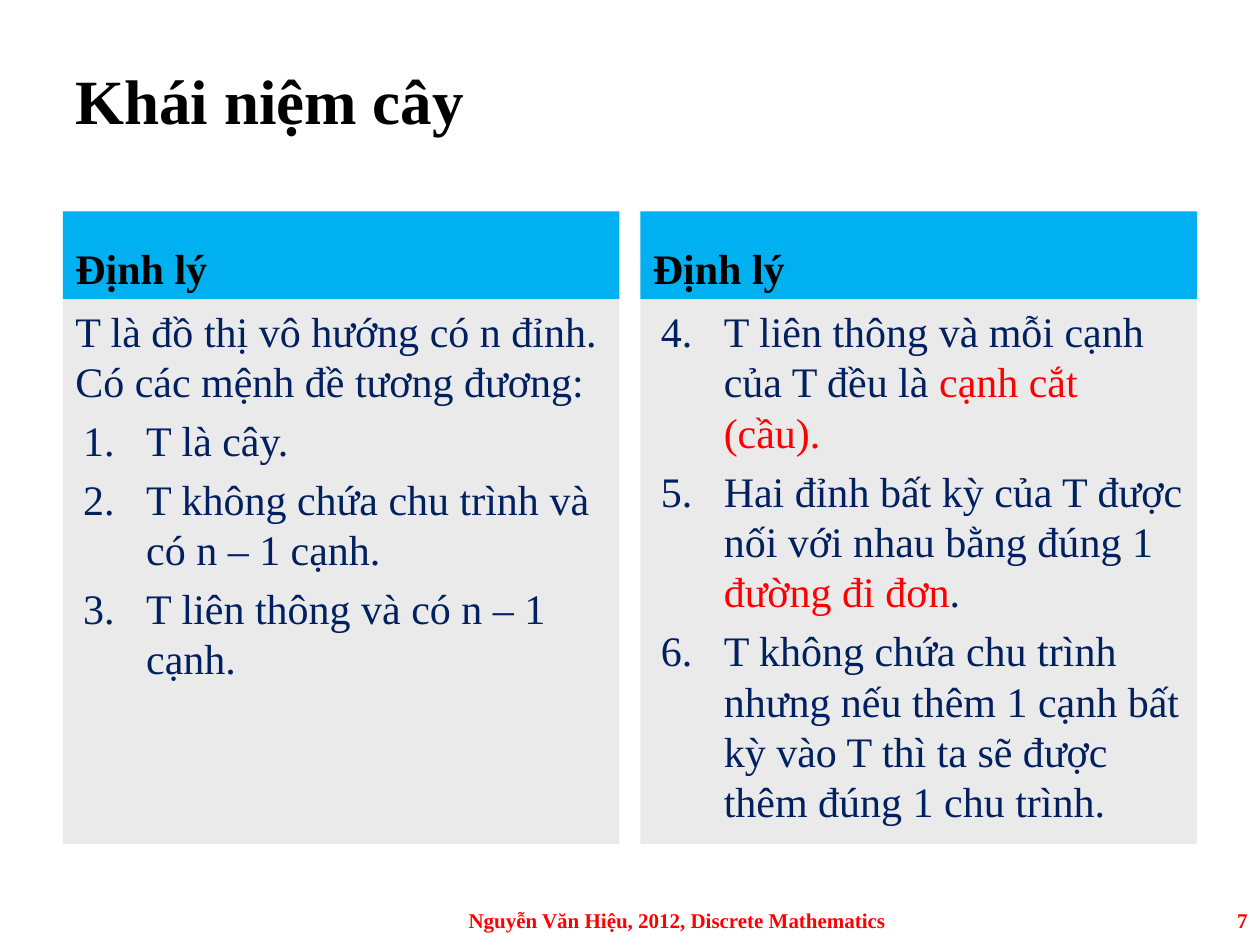
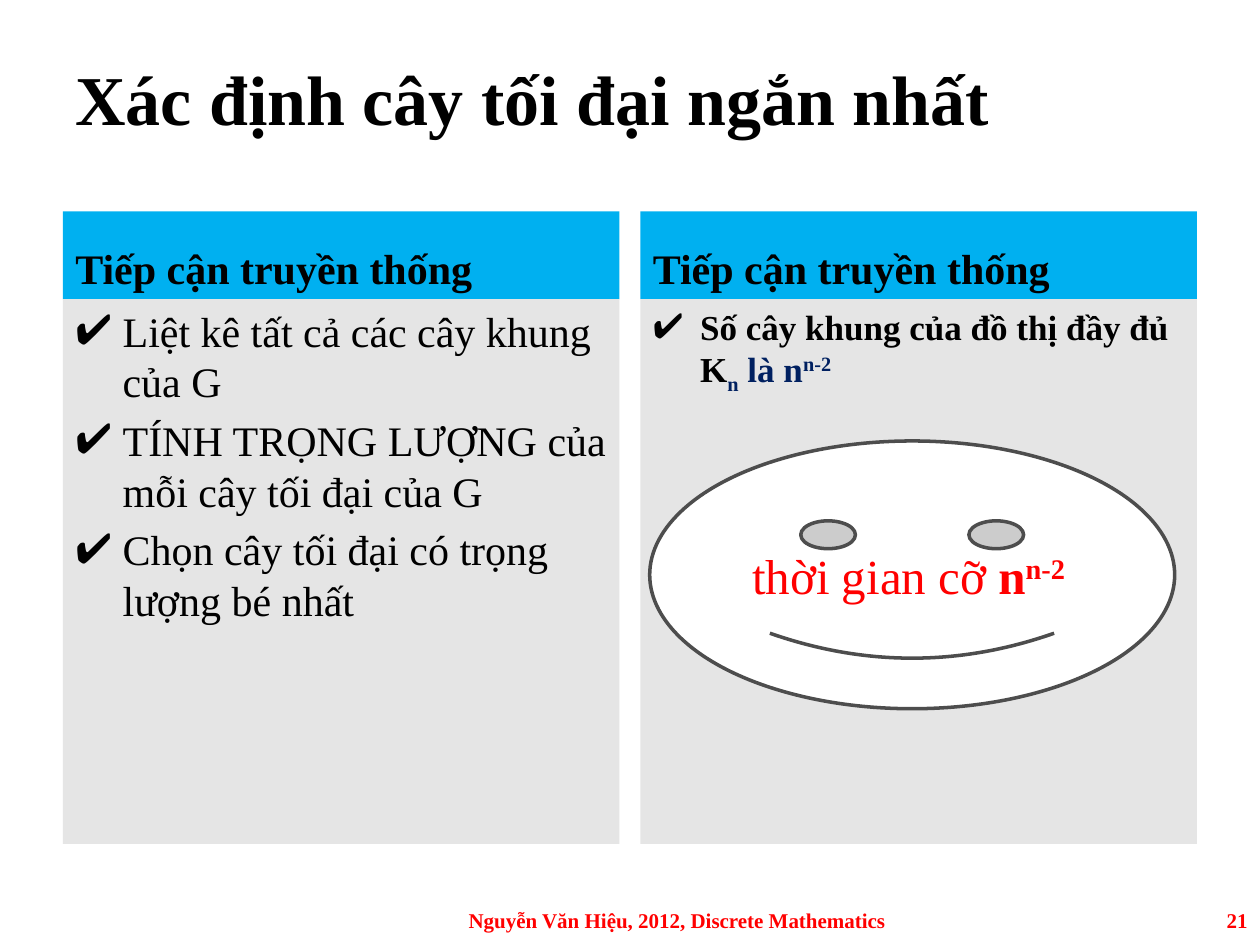
from lxml.etree import SubElement
from pptx import Presentation
from pptx.dml.color import RGBColor
from pptx.enum.shapes import MSO_SHAPE as Shape
from pptx.enum.text import MSO_ANCHOR as Anchor, PP_ALIGN as Align
from pptx.oxml.ns import qn
from pptx.util import Pt

PX = 9525
FONT = "Times New Roman"
BLACK, WHITE, RED, NAVY = "000000", "FFFFFF", "FF0000", "002060"
BLUE, GRAY = "00B0F0", "4D4D4D"
PALE, SILVER = "EAEAEA", "E5E5E5"
CREDIT = "Nguyễn Văn Hiệu, 2012, Discrete Mathematics"
PANELS = [(left, 161, 424, 482) for left in (48, 488)]
HEAD = 67
FOOT = (0, 682, 960, 38)


def color(code):
    """Turn a hex string into a colour."""
    return RGBColor.from_string(code)


def scale(box):
    """Turn a box in px into EMU."""
    return [side * PX for side in box]


def add_run(para, text, size, ink=BLACK, bold=False, base=0):
    """Add one run, raised or lowered by base percent."""
    run = para.add_run()
    run.text = text
    font = run.font
    font.name, font.size, font.bold = FONT, Pt(size), bold
    font.color.rgb = color(ink)
    if base:
        run._r.get_or_add_rPr().set("baseline", str(base * 1000))


def set_frame(shape, anchor):
    """Give a shape a wrapping text frame and return it."""
    frame = shape.text_frame
    frame.word_wrap = True
    frame.vertical_anchor = anchor
    return frame


def add_form(slide, kind, box, fill, anchor):
    """Add a filled shape without line or shadow."""
    shape = slide.shapes.add_shape(kind, *scale(box))
    shape.shadow.inherit = False
    shape.fill.solid()
    shape.fill.fore_color.rgb = color(fill)
    shape.line.fill.background()
    set_frame(shape, anchor)
    return shape


def add_label(slide, box, text, size, ink=BLACK, align=Align.LEFT):
    """Add a bold line of text, centred in height."""
    frame = set_frame(slide.shapes.add_textbox(*scale(box)), Anchor.MIDDLE)
    para = frame.paragraphs[0]
    para.alignment = align
    add_run(para, text, size, ink, True)


def set_bullet(para, ink, left, hang, start=None):
    """Number a paragraph from start, or tick it when there is no start."""
    props = para._p.get_or_add_pPr()
    props.set("marL", str(left * PX))
    props.set("indent", str(-hang * PX))
    SubElement(SubElement(props, qn("a:buClr")), qn("a:srgbClr"), val=ink)
    SubElement(props, qn("a:buFont"), typeface=FONT)
    if start:
        SubElement(props, qn("a:buAutoNum"), type="arabicPeriod", startAt=str(start))
    else:
        SubElement(props, qn("a:buChar"), char="✔")


def add_panel(slide, box, head, fill, items, size, ink, start=None, intro=None):
    """Add a headed panel with an optional intro above its list."""
    left, top, width, height = box
    band = add_form(slide, Shape.RECTANGLE, (left, top, width, HEAD), BLUE, Anchor.BOTTOM)
    para = band.text_frame.paragraphs[0]
    para.alignment = Align.LEFT
    add_run(para, head, 24, bold=True)
    body = (left, top + HEAD, width, height - HEAD)
    frame = add_form(slide, Shape.RECTANGLE, body, fill, Anchor.TOP).text_frame
    rows = ([[(intro, ink)]] if intro else []) + items
    for i, runs in enumerate(rows):
        para = frame.add_paragraph() if i else frame.paragraphs[0]
        para.alignment = Align.LEFT
        if i:
            para.space_before = Pt(4.8)
        if i or not intro:
            set_bullet(para, ink, *((54, 48) if start else (36, 36)), start)
        for text, *style in runs:
            add_run(para, text, size, *style)


def add_foot(slide, box, number):
    """Add the credit and the slide number."""
    left, top, width, height = box
    add_label(slide, (left + 320, top, 392, height), CREDIT, 12, RED, Align.CENTER)
    add_label(slide, (left + width - 224, top, 224, height), number, 12, RED, Align.RIGHT)


def add_smile(slide, box):
    """Add the smiling face with the running time."""
    left, top, _, _ = box
    area = (left + 7, top + 175, 400, 204)
    face = add_form(slide, Shape.SMILEY_FACE, area, WHITE, Anchor.MIDDLE)
    face.adjustments[0] = 0.047
    face.line.color.rgb = color(GRAY)
    face.line.width = Pt(2)
    para = face.text_frame.paragraphs[0]
    para.alignment = Align.CENTER
    add_run(para, "thời gian cỡ ", 28, RED)
    add_run(para, "n", 28, RED, True)
    add_run(para, "n-2 ", 28, RED, True, 30)


def add_page(deck, title, size, height, number):
    """Add a blank slide with its title and footer."""
    slide = deck.slides.add_slide(deck.slide_layouts[6])
    add_label(slide, (48, 29, 864, height), title, size)
    add_foot(slide, FOOT, number)
    return slide


def add_theorem(deck):
    """Build the slide of equivalent statements."""
    slide = add_page(deck, "Khái niệm cây", 36, 94, "7")
    first = [
        [("T là cây.", NAVY)],
        [("T không chứa chu trình và có n – 1 cạnh.", NAVY)],
        [("T liên thông và có n – 1 cạnh.", NAVY)],
    ]
    second = [
        [("T liên thông và mỗi cạnh của T đều là ", NAVY), ("cạnh cắt (cầu).", RED)],
        [("Hai đỉnh bất kỳ của T được nối với nhau bằng đúng 1 ", NAVY),
         ("đường đi đơn", RED), (".", NAVY)],
        [("T không chứa chu trình nhưng nếu thêm 1 cạnh bất kỳ vào T "
          "thì ta sẽ được thêm đúng 1 chu trình.", NAVY)],
    ]
    intro = "T là đồ thị vô hướng có n đỉnh. Có các mệnh đề tương đương:"
    add_panel(slide, PANELS[0], "Định lý", PALE, first, 24, NAVY, 1, intro)
    add_panel(slide, PANELS[1], "Định lý", PALE, second, 24, NAVY, 4)


def add_method(deck):
    """Build the slide of the traditional approach."""
    slide = add_page(deck, "Xác định cây tối đại ngắn nhất", 40, 91, "21")
    head = "Tiếp cận truyền thống"
    steps = [
        [("Liệt kê tất cả các cây khung của G",)],
        [("TÍNH TRỌNG LƯỢNG của mỗi cây tối đại của G",)],
        [("Chọn cây tối đại có trọng lượng bé nhất",)],
    ]
    count = [[
        ("Số cây khung của đồ thị đầy đủ K", BLACK, True),
        ("n", NAVY, True, -25),
        (" là n", NAVY, True),
        ("n-2", NAVY, True, 30),
    ]]
    add_panel(slide, PANELS[0], head, SILVER, steps, 24, BLACK)
    add_panel(slide, PANELS[1], head, SILVER, count, 20, BLACK)
    add_smile(slide, PANELS[1])


def main():
    """Build and save the deck."""
    deck = Presentation()
    deck.slide_width, deck.slide_height = scale((960, 720))
    add_theorem(deck)
    add_method(deck)
    deck.save("out.pptx")


if __name__ == "__main__":
    main()
